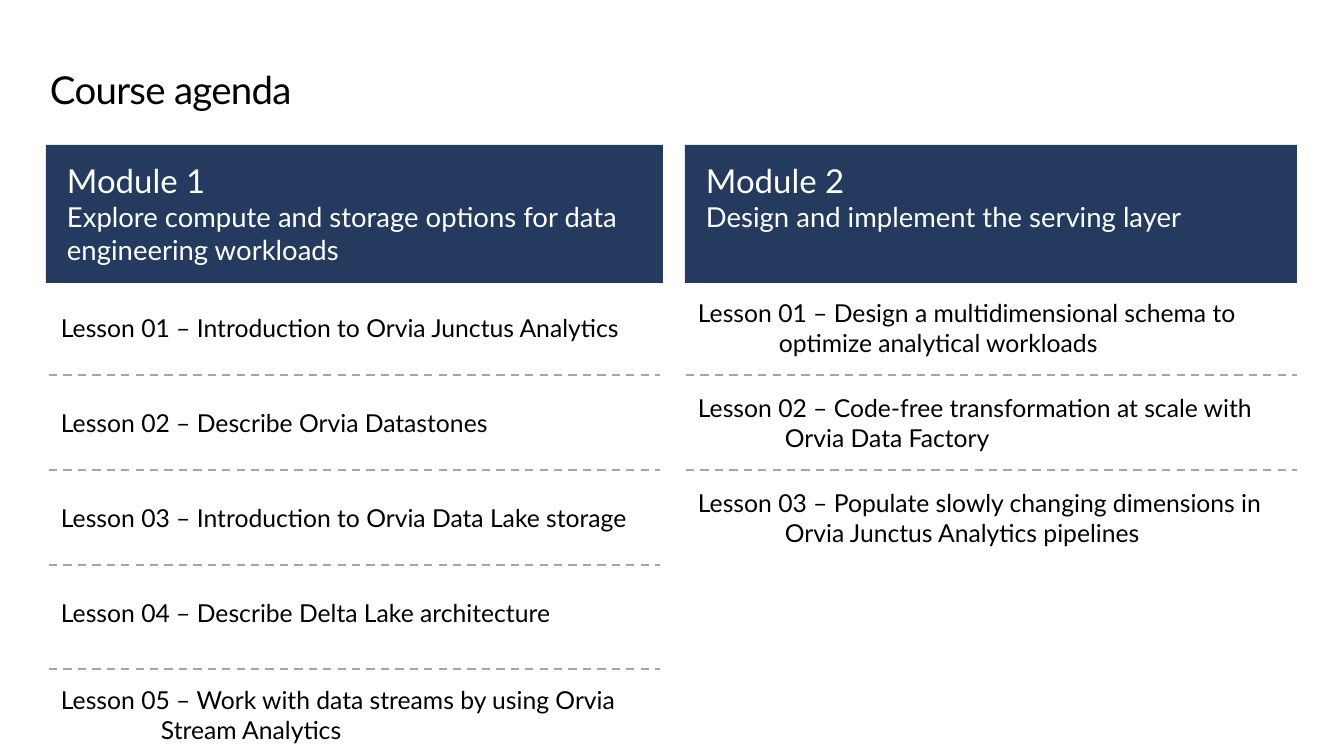
"""Builds the course agenda slide with two modules and their lessons."""
from dataclasses import dataclass

from lxml.etree import SubElement
from pptx import Presentation
from pptx.dml.color import RGBColor
from pptx.enum.dml import MSO_LINE
from pptx.enum.shapes import MSO_CONNECTOR, MSO_SHAPE
from pptx.enum.text import MSO_ANCHOR, PP_ALIGN
from pptx.oxml.ns import qn
from pptx.util import Pt

EMU_PER_PX = 9255


@dataclass(frozen=True)
class Theme:
    font: str = "Lato"
    ink: str = "000000"
    paper: str = "FFFFFF"
    navy: str = "243A5E"
    rule: str = "A6A6A6"
    title_size: int = 28
    module_size: int = 24
    topic_size: int = 20
    lesson_size: int = 18
    rule_width: float = 1.5


THEME = Theme()

HEADER_TOP, HEADER_HEIGHT = 145, 138
LESSON_WIDTH, LESSON_HEIGHT, LESSON_PITCH = 611, 89, 95
LESSON_TOP, RULE_TOP = 283, 375
LAST_LESSON_TOP, LAST_LESSON_HEIGHT, LAST_RULE_TOP = 675, 79, 669
REGULAR_ROWS = 4

MODULES = [
    {
        "name": "Module 1",
        "topic": "Explore compute and storage options for data engineering workloads",
        "header": (46, 617),
        "left": 49,
        "lessons": [
            ("Lesson 01 – Introduction to Orvia Junctus Analytics", 0),
            ("Lesson 02 – Describe Orvia Datastones", 0),
            ("Lesson 03 – Introduction to Orvia Data Lake storage", 0),
            ("Lesson 04 – Describe Delta Lake architecture", 0),
            ("Lesson 05 – Work with data streams by using Orvia Stream Analytics", 100),
        ],
    },
    {
        "name": "Module 2",
        "topic": "Design and implement the serving layer",
        "header": (685, 612),
        "left": 686,
        "lessons": [
            ("Lesson 01 – Design a multidimensional schema to optimize analytical workloads", 81),
            ("Lesson 02 – Code-free transformation at scale with Orvia Data Factory", 87),
            ("Lesson 03 – Populate slowly changing dimensions in Orvia Junctus Analytics pipelines", 87),
        ],
    },
]


def px(length):
    """Turn whole pixels into EMU."""
    return length * EMU_PER_PX


def set_frame(frame, anchor, left, top, right, bottom):
    """Set wrapping, anchor and insets of a text frame."""
    frame.word_wrap = True
    frame.vertical_anchor = anchor
    frame.margin_left, frame.margin_top = px(left), px(top)
    frame.margin_right, frame.margin_bottom = px(right), px(bottom)


def add_span(para, text, size, color):
    """Add one styled run to a left-aligned paragraph."""
    para.alignment = PP_ALIGN.LEFT
    span = para.add_run()
    span.text = text
    span.font.name = THEME.font
    span.font.size = Pt(size)
    span.font.color.rgb = RGBColor.from_string(color)
    return span


def add_title(page, text):
    """Add the slide title."""
    box = page.shapes.add_textbox(px(50), px(68), px(1246), px(45))
    set_frame(box.text_frame, MSO_ANCHOR.TOP, 0, 0, 0, 0)
    para = box.text_frame.paragraphs[0]
    para.line_spacing = Pt(32)
    span = add_span(para, text, THEME.title_size, THEME.ink)
    span.font._element.set("spc", "-50")


def add_header(page, left, width, name, topic):
    """Add the filled header of a module."""
    box = page.shapes.add_shape(
        MSO_SHAPE.RECTANGLE, px(left), px(HEADER_TOP), px(width), px(HEADER_HEIGHT)
    )
    box.shadow.inherit = False
    box.fill.solid()
    box.fill.fore_color.rgb = RGBColor.from_string(THEME.navy)
    box.line.fill.background()
    frame = box.text_frame
    set_frame(frame, MSO_ANCHOR.TOP, 21, 16, 20, 15)
    add_span(frame.paragraphs[0], name, THEME.module_size, THEME.paper)
    add_span(frame.add_paragraph(), topic, THEME.topic_size, THEME.paper)


def add_lesson(page, left, top, height, text, hanging):
    """Add a lesson whose wrapped line hangs by the given indent."""
    box = page.shapes.add_textbox(px(left), px(top), px(LESSON_WIDTH), px(height))
    set_frame(box.text_frame, MSO_ANCHOR.MIDDLE, 12, 12, 12, 12)
    para = box.text_frame.paragraphs[0]
    add_span(para, text, THEME.lesson_size, THEME.ink)
    if hanging:
        properties = para._p.get_or_add_pPr()
        properties.set("marL", str(px(hanging)))
        properties.set("indent", str(-px(hanging)))


def add_rule(page, left, top):
    """Add a dashed line between two lessons."""
    rule = page.shapes.add_connector(
        MSO_CONNECTOR.STRAIGHT, px(left), px(top), px(left + LESSON_WIDTH), px(top)
    )
    rule.line.color.rgb = RGBColor.from_string(THEME.rule)
    rule.line.width = Pt(THEME.rule_width)
    rule.line.dash_style = MSO_LINE.DASH
    SubElement(rule._element.spPr, qn("a:effectLst"))


def add_module(page, module):
    """Add a module header with its lessons and dividing lines."""
    add_header(page, *module["header"], module["name"], module["topic"])
    left = module["left"]
    for row, (text, hanging) in enumerate(module["lessons"]):
        if row < REGULAR_ROWS:
            top, height = LESSON_TOP + row * LESSON_PITCH, LESSON_HEIGHT
        else:
            top, height = LAST_LESSON_TOP, LAST_LESSON_HEIGHT
        add_lesson(page, left, top, height, text, hanging)
        if 0 < row < REGULAR_ROWS:
            add_rule(page, left, RULE_TOP + (row - 1) * LESSON_PITCH)
        elif row == REGULAR_ROWS:
            add_rule(page, left, LAST_RULE_TOP)


def main():
    """Build and save the deck."""
    deck = Presentation()
    deck.slide_width, deck.slide_height = px(1344), px(756)
    page = deck.slides.add_slide(deck.slide_layouts[6])
    add_title(page, "Course agenda")
    for module in MODULES:
        add_module(page, module)
    deck.save("out.pptx")


if __name__ == "__main__":
    main()
